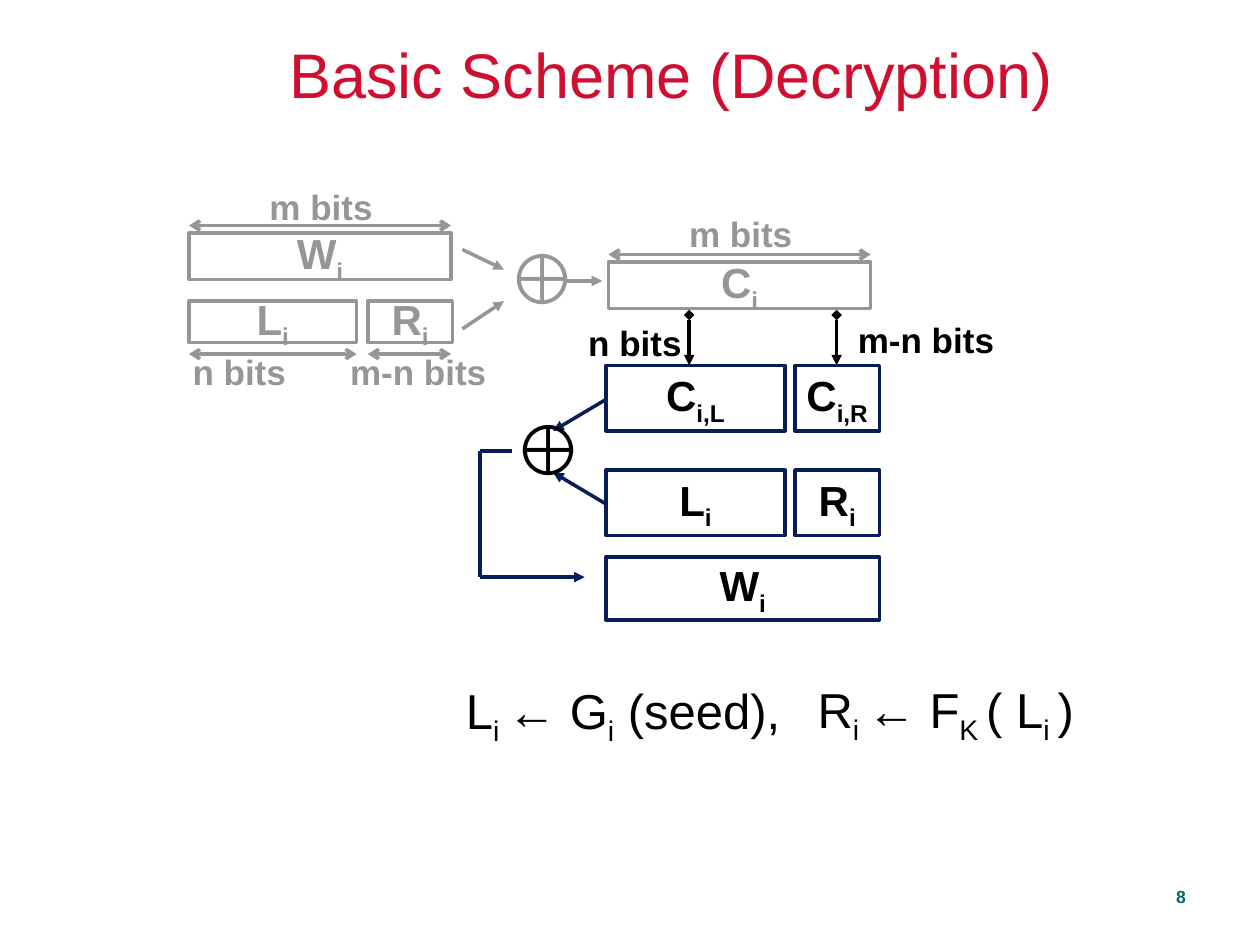
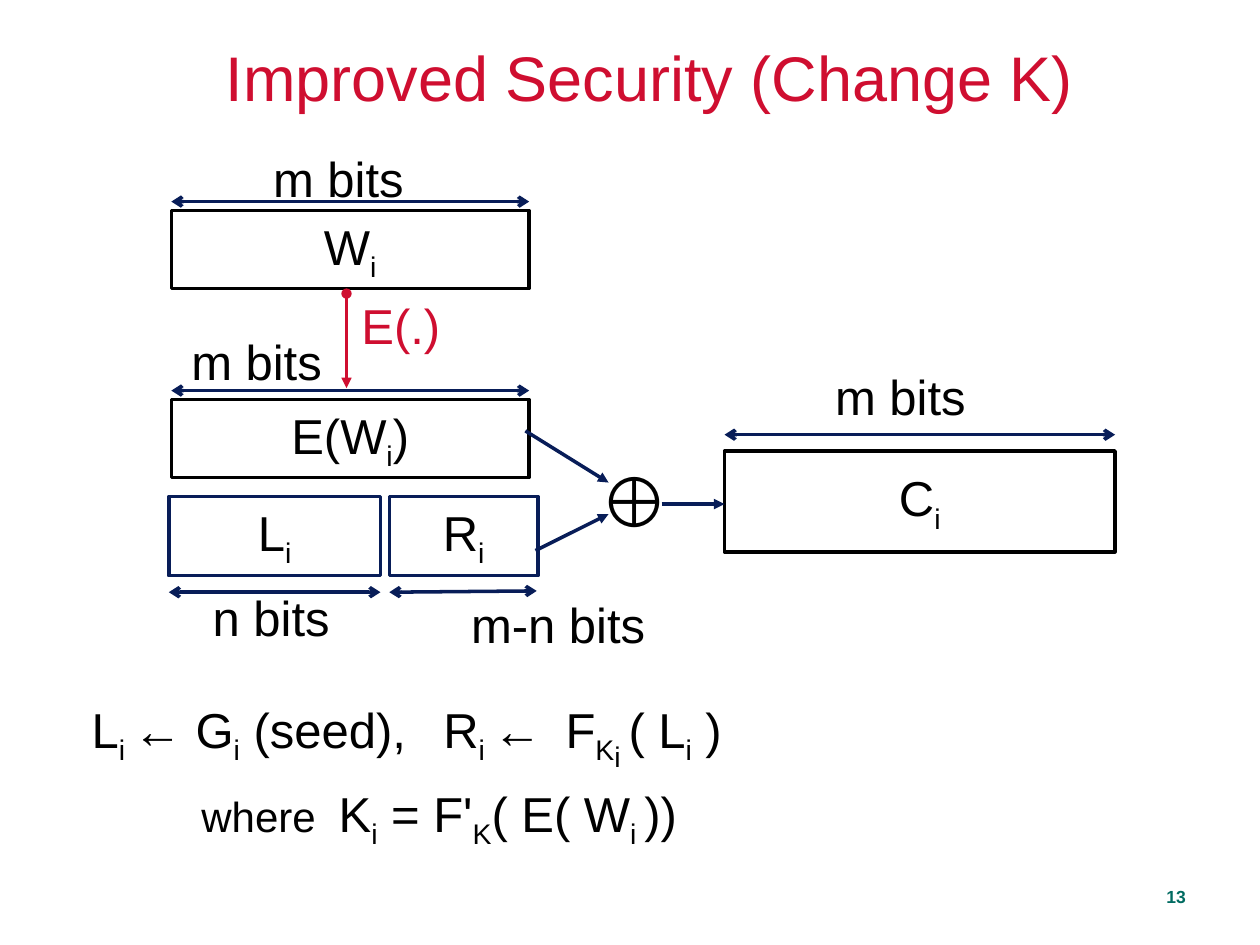
"""Build two slides on a block encryption scheme: decryption and a changing key."""
from typing import NamedTuple, Optional

from lxml.etree import SubElement as Sub
from pptx import Presentation
from pptx.dml.color import RGBColor as Rgb
from pptx.enum.shapes import MSO_CONNECTOR as Wire, MSO_SHAPE as Form
from pptx.enum.text import MSO_ANCHOR as Anchor, MSO_AUTO_SIZE as Fit, PP_ALIGN as Align
from pptx.oxml.ns import qn
from pptx.util import Inches, Pt

FONT = "Arial"
RED = Rgb(0xCF, 0x0E, 0x30)
TEAL = Rgb(0x00, 0x6B, 0x61)
NAVY = Rgb(0x08, 0x1D, 0x58)
GREY = Rgb(0x96, 0x96, 0x96)
BLACK = Rgb(0x00, 0x00, 0x00)
WHITE = Rgb(0xFF, 0xFF, 0xFF)
DROPS = (0, -25000, -40000)
XOR = "⊕"


class Box(NamedTuple):
    """A framed block of bits."""
    x: float
    y: float
    w: float
    h: float
    text: str
    edge: Rgb = NAVY
    ink: Rgb = BLACK


class Tag(NamedTuple):
    """A free label; tab is the place of its tab stop."""
    x: float
    y: float
    w: float
    h: float
    text: str
    ink: Rgb = BLACK
    size: int = 28
    bold: bool = False
    tab: Optional[float] = None


class Link(NamedTuple):
    """A straight line with optional ends."""
    x1: float
    y1: float
    x2: float
    y2: float
    ink: Rgb = NAVY
    head: str = "none"
    tail: str = "triangle"
    width: float = 2


def write(frame, text: str, *, size: int, ink: Rgb, bold: bool = False,
          align=Align.LEFT, anchor=Anchor.TOP, wrap: bool = False,
          lead: Optional[float] = None, tab: Optional[float] = None) -> None:
    """Write runs parted by bars; each leading underscore lowers a run one step."""
    frame.word_wrap = wrap
    frame.auto_size = Fit.NONE
    frame.vertical_anchor = anchor
    frame.margin_left = frame.margin_right = Inches(0.1)
    frame.margin_top = frame.margin_bottom = Inches(0.05)
    para = frame.paragraphs[0]
    para.alignment = align
    if lead:
        para.line_spacing = lead
    if tab:
        stops = Sub(para._p.get_or_add_pPr(), qn("a:tabLst"))
        Sub(stops, qn("a:tab"), pos=str(Inches(tab)), algn="l")
    for part in text.split("|"):
        word = part.lstrip("_")
        level = len(part) - len(word)
        small = word.startswith("where")
        run = para.add_run()
        run.text = word
        font = run.font
        font.name, font.size, font.bold = FONT, Pt(24 if small else size), bold
        font.color.rgb = ink
        if level:
            run._r.get_or_add_rPr().set("baseline", str(DROPS[level]))


def place(item) -> tuple:
    """Give the frame of a box or tag as lengths."""
    return tuple(Inches(n) for n in item[:4])


def draw_box(slide, box: Box, size: int, bold: bool) -> None:
    """Draw a white block with a centred symbol."""
    shape = slide.shapes.add_shape(Form.RECTANGLE, *place(box))
    shape.shadow.inherit = False
    shape.fill.solid()
    shape.fill.fore_color.rgb = WHITE
    shape.line.color.rgb = box.edge
    shape.line.width = Pt(2)
    write(shape.text_frame, box.text, size=size, ink=box.ink, bold=bold,
          align=Align.CENTER, anchor=Anchor.MIDDLE)


def draw_tag(slide, tag: Tag) -> None:
    """Draw a label."""
    frame = slide.shapes.add_textbox(*place(tag)).text_frame
    write(frame, tag.text, size=tag.size, ink=tag.ink, bold=tag.bold, tab=tag.tab)


def draw_link(slide, link: Link) -> None:
    """Draw a line with its ends."""
    ends = (Inches(n) for n in link[:4])
    wire = slide.shapes.add_connector(Wire.STRAIGHT, *ends)
    wire.line.color.rgb = link.ink
    wire.line.width = Pt(link.width)
    edge = wire.line._get_or_add_ln()
    Sub(edge, qn("a:headEnd"), type=link.head)
    Sub(edge, qn("a:tailEnd"), type=link.tail)
    Sub(wire._element.spPr, qn("a:effectLst"))


def span(x: float, y: float, w: float, ink: Rgb = NAVY) -> Link:
    """Make a level arrow that measures a width."""
    return Link(x, y, x + w, y, ink, "arrow", "arrow")


def start(deck, title: str, spot: Tag, number: int):
    """Add a slide with its title and number."""
    slide = deck.slides.add_slide(deck.slide_layouts[5])
    head = slide.shapes.title
    head.left, head.top, head.width, head.height = place(spot)
    write(head.text_frame, title, size=spot.size, ink=spot.ink, wrap=True,
          align=Align.CENTER, anchor=Anchor.MIDDLE, lead=0.88)
    foot = slide.shapes.add_textbox(*(Inches(n) for n in (7.58, 7, 1.93, 0.25)))
    write(foot.text_frame, str(number), size=10, ink=TEAL, bold=True, wrap=True,
          align=Align.RIGHT, lead=0.9)
    return slide


def fill(slide, boxes: list, links: list, tags: list, size: int, bold: bool) -> None:
    """Draw all parts of a scheme."""
    for box in boxes:
        draw_box(slide, box, size, bold)
    for link in links:
        draw_link(slide, link)
    for tag in tags:
        draw_tag(slide, tag)


def bits(x: float, y: float, w: float, text: str, ink: Rgb = BLACK) -> Tag:
    """Make a small bold bit count."""
    return Tag(x, y, w, 0.44, text, ink, 20, True)


def decrypt(deck) -> None:
    """Build the decryption slide."""
    slide = start(deck, "Basic Scheme (Decryption)",
                  Tag(1.24, 0.25, 8.17, 0.75, "", RED, 36), 8)
    boxes = [
        Box(1.5, 1.85, 2.08, 0.37, "W|_i", GREY, GREY),
        Box(1.5, 2.39, 1.33, 0.33, "L|_i", GREY, GREY),
        Box(2.92, 2.39, 0.67, 0.33, "R|_i", GREY, GREY),
        Box(4.83, 2.08, 2.08, 0.37, "C|_i", GREY, GREY),
        Box(4.81, 4.42, 2.17, 0.5, "W|_i"),
    ]
    for y, left, right in ((2.9, "C|_i,L", "C|_i,R"), (3.73, "L|_i", "R|_i")):
        boxes += [Box(4.81, y, 1.42, 0.52, left), Box(6.31, y, 0.67, 0.52, right)]
    links = [span(x, y, w, GREY) for x, y, w in (
        (1.5, 1.79, 2.08), (1.5, 2.81, 1.33), (2.92, 2.81, 0.66), (4.83, 2.02, 2.08))]
    links += [
        Link(3.67, 1.98, 4, 2.14, GREY),
        Link(3.67, 2.61, 4, 2.39, GREY),
        Link(4.5, 2.23, 4.78, 2.23, GREY),
        Link(4.81, 3.17, 4.39, 3.42),
        Link(4.81, 4, 4.39, 3.75),
        Link(4.06, 3.58, 3.81, 3.58, tail="none"),
        Link(3.81, 3.58, 3.81, 4.58, tail="none"),
        Link(3.81, 4.58, 4.64, 4.58),
    ]
    links += [Link(x, 2.5, x, 2.9, BLACK, "diamond") for x in (5.47, 6.64)]
    tags = [
        bits(2.04, 1.42, 1.02, "m bits", GREY),
        bits(1.43, 2.73, 0.94, "n bits", GREY),
        bits(2.68, 2.73, 1.28, "m-n bits", GREY),
        bits(5.37, 1.64, 1.02, "m bits", GREY),
        bits(4.57, 2.5, 0.94, "n bits"),
        bits(6.71, 2.48, 1.28, "m-n bits"),
        Tag(3.93, 1.81, 0.64, 0.77, XOR, GREY, 40),
        Tag(3.98, 3.17, 0.64, 0.77, XOR, size=40),
        Tag(3.6, 5.35, 2.73, 0.63, "L|_i |← G|_i| (seed),"),
        Tag(6.39, 5.34, 2.3, 0.63, "R|_i |← F|_K |( L|_i |)"),
    ]
    fill(slide, boxes, links, tags, 24, True)


def improve(deck) -> None:
    """Build the slide on the changing key."""
    slide = start(deck, "Improved Security (Change K)",
                  Tag(1.24, 0.25, 7.83, 0.8, "", RED, 36), 13)
    boxes = [
        Box(1.36, 1.67, 2.84, 0.62, "W|_i", BLACK),
        Box(1.36, 3.17, 2.84, 0.62, "E(W|_i|)", BLACK),
        Box(1.34, 3.94, 1.68, 0.63, "L|_i"),
        Box(3.09, 3.94, 1.18, 0.63, "R|_i"),
        Box(5.75, 3.58, 3.1, 0.8, "C|_i", BLACK),
    ]
    links = [span(x, y, w) for x, y, w in (
        (1.36, 1.6, 2.84), (1.36, 3.1, 2.84), (1.34, 4.7, 1.68), (5.75, 3.45, 3.1))]
    links += [
        Link(3.09, 4.7, 4.26, 4.69, head="arrow", tail="arrow"),
        Link(2.75, 2.33, 2.75, 3.08, RED, "oval", width=1.5),
        Link(4.17, 3.42, 4.83, 3.83),
        Link(4.25, 4.37, 4.83, 4.08),
        Link(5.25, 4, 5.75, 4),
    ]
    tags = [Tag(x, y, 1.23, 0.57, "m bits")
            for x, y in ((2.07, 1.13), (1.42, 2.58), (6.53, 2.86))]
    tags += [
        Tag(1.59, 4.61, 1.13, 0.57, "n bits"),
        Tag(3.64, 4.67, 1.58, 0.57, "m-n bits"),
        Tag(2.77, 2.3, 0.82, 0.57, "E(.)", RED),
        Tag(4.66, 3.58, 0.64, 0.77, XOR, size=40),
        Tag(0.63, 5.5, 2.76, 0.63, "L|_i |← G|_i| (seed),"),
        Tag(3.42, 5.5, 3.17, 0.69, "R|_i |←\tF|_K|__i |( L|_i| )", tab=0.97),
        Tag(1.5, 6.17, 5.27, 0.63, "where\t|K|_i| = F'|_K|( E( W|_i |))", tab=1.09),
    ]
    fill(slide, boxes, links, tags, 28, False)


def main() -> None:
    """Build and save the deck."""
    deck = Presentation()
    deck.slide_width, deck.slide_height = Inches(10), Inches(7.5)
    decrypt(deck)
    improve(deck)
    deck.save("out.pptx")


if __name__ == "__main__":
    main()
